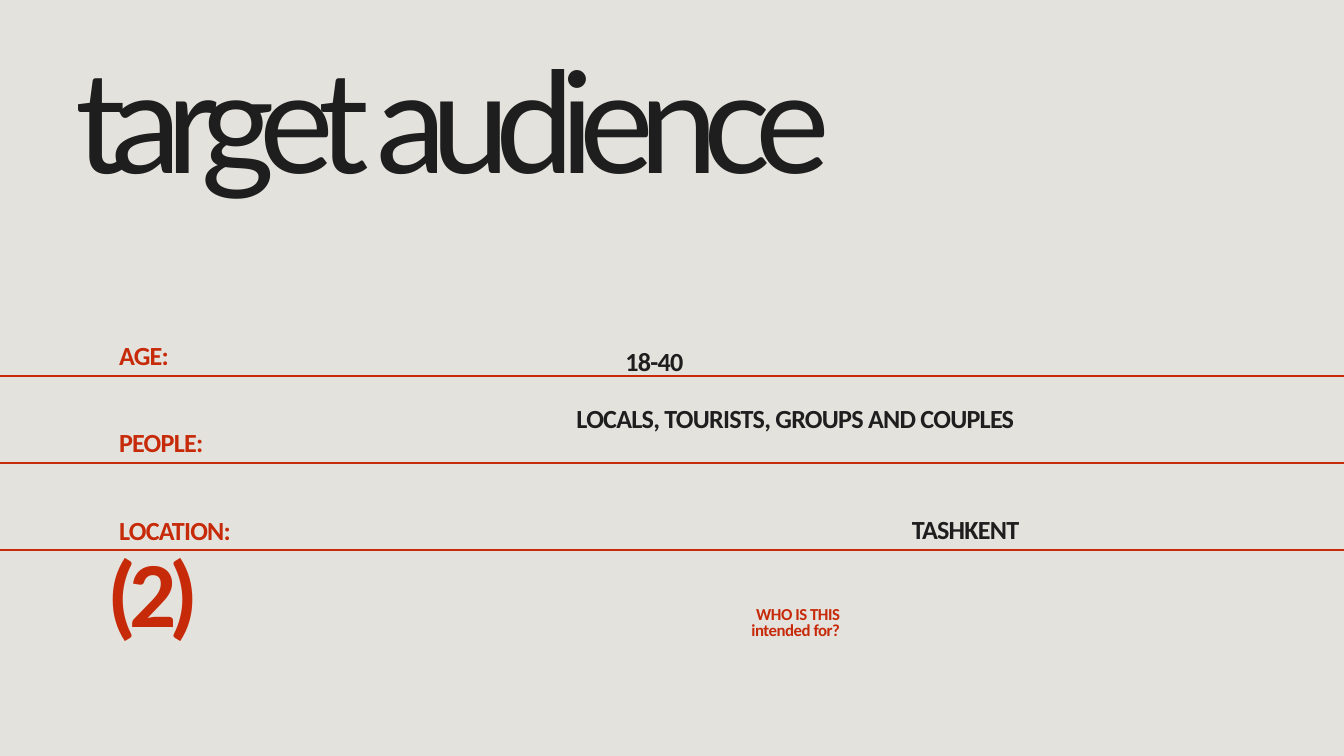
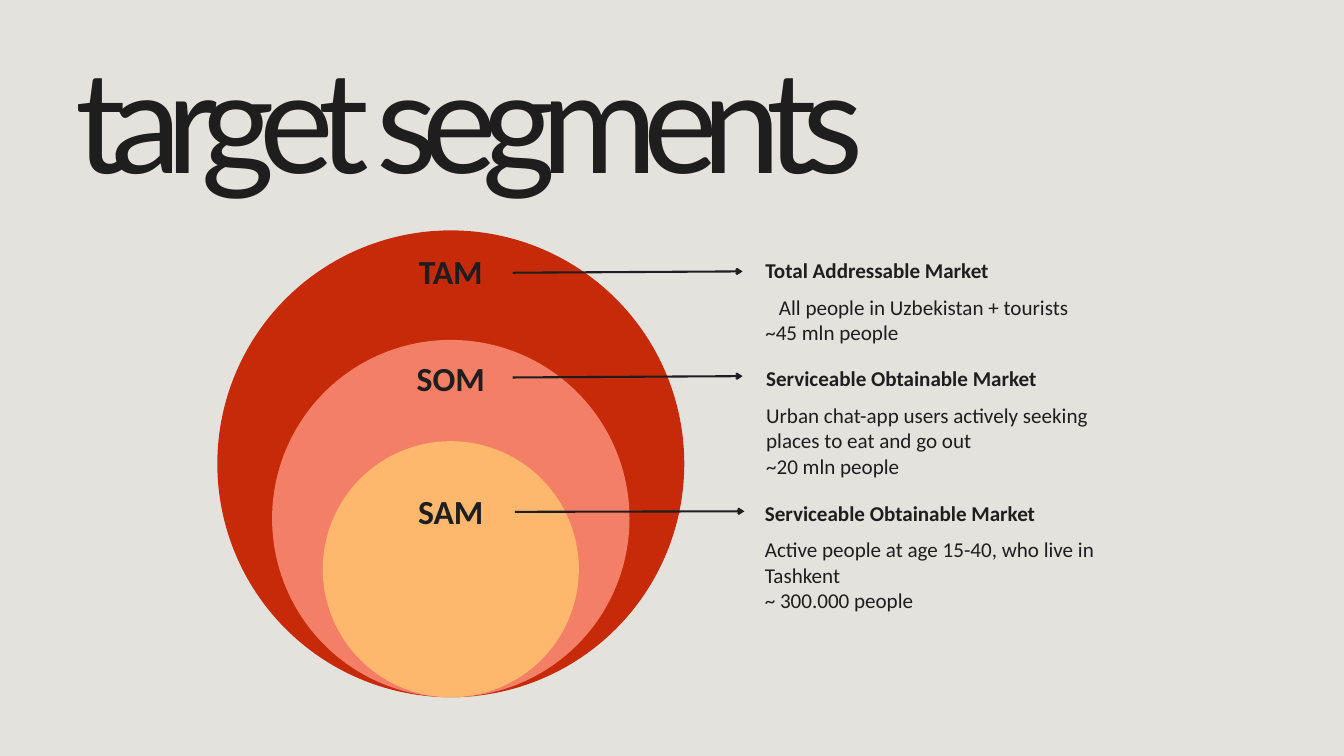
from dataclasses import dataclass

from lxml import etree
from pptx import Presentation
from pptx.dml.color import RGBColor
from pptx.enum.shapes import MSO_CONNECTOR, MSO_SHAPE
from pptx.enum.text import MSO_ANCHOR, MSO_AUTO_SIZE, PP_ALIGN
from pptx.oxml.ns import qn
from pptx.util import Cm, Pt

LEFT, CENTER, RIGHT = PP_ALIGN.LEFT, PP_ALIGN.CENTER, PP_ALIGN.RIGHT
TOP = MSO_ANCHOR.TOP
NO_AUTOFIT = MSO_AUTO_SIZE.NONE
STRAIGHT = MSO_CONNECTOR.STRAIGHT
OVAL = MSO_SHAPE.OVAL
TITLE_ONLY = 5


@dataclass(frozen=True)
class TextStyle:
    """Type settings, with size, leading and tracking in points."""
    size: float
    leading: float
    tracking: float = 0
    font: str = "Calibri"
    bold: bool = True


@dataclass(frozen=True)
class Theme:
    """Colours and type styles shared by the slides."""
    paper: str = "E4E2DD"
    ink: str = "1E1E1E"
    red: str = "C72A09"
    coral: str = "F47F67"
    amber: str = "FDB86E"
    title: TextStyle = TextStyle(151.3, 139.2, -15.7, "Lato", False)
    number: TextStyle = TextStyle(99.8, 93.8, -7.7)
    fact: TextStyle = TextStyle(28, 26, -0.8)
    question: TextStyle = TextStyle(18, 16.7, -0.5)
    tag: TextStyle = TextStyle(36.1, 43.3)
    heading: TextStyle = TextStyle(22.6, 27.1)
    detail: TextStyle = TextStyle(22.6, 27.1, bold=False)


THEME = Theme()
SLIDE_WIDTH, SLIDE_HEIGHT = 50.8, 28.58

RULE_TOP, RULE_PITCH = 14.2, 3.3
FACTS = [
    ("AGE:", "18-40", 15.1, 13.31, 10.73),
    ("PEOPLE:", "LOCALS, TOURISTS, GROUPS AND COUPLES", 19.23, 15.49, 19.1),
    ("LOCATION:", "TASHKENT", 22.3, 19.69, 16.23),
]

CIRCLE_CENTER, CIRCLE_BOTTOM = 17.04, 26.36
TAG_WIDTH = 2.9
SEGMENTS = [
    ("TAM", THEME.red, 17.65, 9.47, (19.38, 10.31, 28.07, 10.26),
     "Total Addressable Market", 28.93, 9.73,
     ["All people in Uzbekistan + tourists", "~45 mln people"], 11.96, CENTER),
    ("SOM", THEME.coral, 13.51, 13.51, (19.38, 14.27, 28.07, 14.22),
     "Serviceable Obtainable Market", 28.96, 13.83,
     ["Urban chat-app users actively seeking places to eat and go out",
      "~20 mln people"], 13.61, LEFT),
    ("SAM", THEME.amber, 9.68, 18.57, (19.46, 19.35, 28.14, 19.33),
     "Serviceable Obtainable Market", 28.91, 18.9,
     ["Active people at age 15-40, who live in Tashkent",
      "~ 300.000 people"], 13.61, LEFT),
]


def fill_text(box, lines, style, color, align=LEFT):
    """Write lines into a shape and format them."""
    frame = box.text_frame
    frame.text = "\n".join(lines)
    frame.word_wrap = True
    frame.auto_size = NO_AUTOFIT
    frame.vertical_anchor = TOP
    frame.margin_left = frame.margin_right = 0
    frame.margin_top = frame.margin_bottom = 0
    for para in frame.paragraphs:
        para.alignment = align
        para.line_spacing = Pt(style.leading)
        para.space_before = para.space_after = Pt(0)
        for span in para.runs:
            span.font.name = style.font
            span.font.size = Pt(style.size)
            span.font.bold = style.bold
            span.font.color.rgb = RGBColor.from_string(color)
            span._r.get_or_add_rPr().set("spc", str(round(style.tracking * 100)))


def add_text(page, lines, left, top, width, height, style, color, align=LEFT):
    """Add a text box and return it."""
    box = page.shapes.add_textbox(Cm(left), Cm(top), Cm(width), Cm(height))
    fill_text(box, lines, style, color, align)
    return box


def add_line(page, start_x, start_y, end_x, end_y, color, weight, arrow=False):
    """Add a straight line, with an arrowhead at its end on request."""
    line = page.shapes.add_connector(
        STRAIGHT, Cm(start_x), Cm(start_y), Cm(end_x), Cm(end_y))
    line.line.color.rgb = RGBColor.from_string(color)
    line.line.width = Pt(weight)
    if arrow:
        head = etree.SubElement(line.line._get_or_add_ln(), qn("a:tailEnd"))
        head.set("type", "arrow")
    etree.SubElement(line._element.spPr, qn("a:effectLst"))


def add_circle(page, diameter, color):
    """Add a circle resting on the common bottom point."""
    circle = page.shapes.add_shape(
        OVAL, Cm(CIRCLE_CENTER - diameter / 2), Cm(CIRCLE_BOTTOM - diameter),
        Cm(diameter), Cm(diameter))
    circle.shadow.inherit = False
    circle.fill.solid()
    circle.fill.fore_color.rgb = RGBColor.from_string(color)
    circle.line.fill.background()


def add_page(deck, title):
    """Add a slide with its title."""
    page = deck.slides.add_slide(deck.slide_layouts[TITLE_ONLY])
    box = page.shapes.title
    box.left, box.top, box.width, box.height = Cm(2.84), Cm(2.72), Cm(45.08), Cm(5.31)
    fill_text(box, [title], THEME.title, THEME.ink)
    return page


def add_audience(deck):
    """Build the slide of ruled audience facts."""
    page = add_page(deck, "target audience")
    for index, (label, value, left, top, width) in enumerate(FACTS):
        rule = RULE_TOP + index * RULE_PITCH
        add_line(page, 0, rule, SLIDE_WIDTH, rule, THEME.red, 2)
        add_text(page, [label], 4.5, rule - 1.1, 6.98, 1, THEME.fact, THEME.red)
        add_text(page, [value], left, top, width, 1, THEME.fact, THEME.ink, RIGHT)
    add_text(page, ["(2)"], 4.06, 21.11, 21.34, 3.56, THEME.number, THEME.red)
    add_text(page, ["WHO IS THIS", "intended for?"], 24.77, 23.01, 6.98, 1.2,
             THEME.question, THEME.red, RIGHT)


def add_segments(deck):
    """Build the slide of nested market circles."""
    page = add_page(deck, "target segments")
    for (tag, color, diameter, tag_top, arrow, heading, left, top,
         details, width, align) in SEGMENTS:
        add_circle(page, diameter, color)
        add_text(page, [tag], CIRCLE_CENTER - TAG_WIDTH / 2, tag_top, TAG_WIDTH, 1.5,
                 THEME.tag, THEME.ink, CENTER)
        add_line(page, *arrow, THEME.ink, 2.25, arrow=True)
        add_text(page, [heading], left, top, 13.08, 0.97, THEME.heading, THEME.ink)
        box = add_text(page, details, left, top + 1.39, width, 2.84,
                       THEME.detail, THEME.ink)
        box.text_frame.paragraphs[0].alignment = align


def main():
    """Build and save the deck."""
    deck = Presentation()
    deck.slide_width, deck.slide_height = Cm(SLIDE_WIDTH), Cm(SLIDE_HEIGHT)
    backdrop = deck.slide_master.background.fill
    backdrop.solid()
    backdrop.fore_color.rgb = RGBColor.from_string(THEME.paper)
    add_audience(deck)
    add_segments(deck)
    deck.save("out.pptx")


if __name__ == "__main__":
    main()
